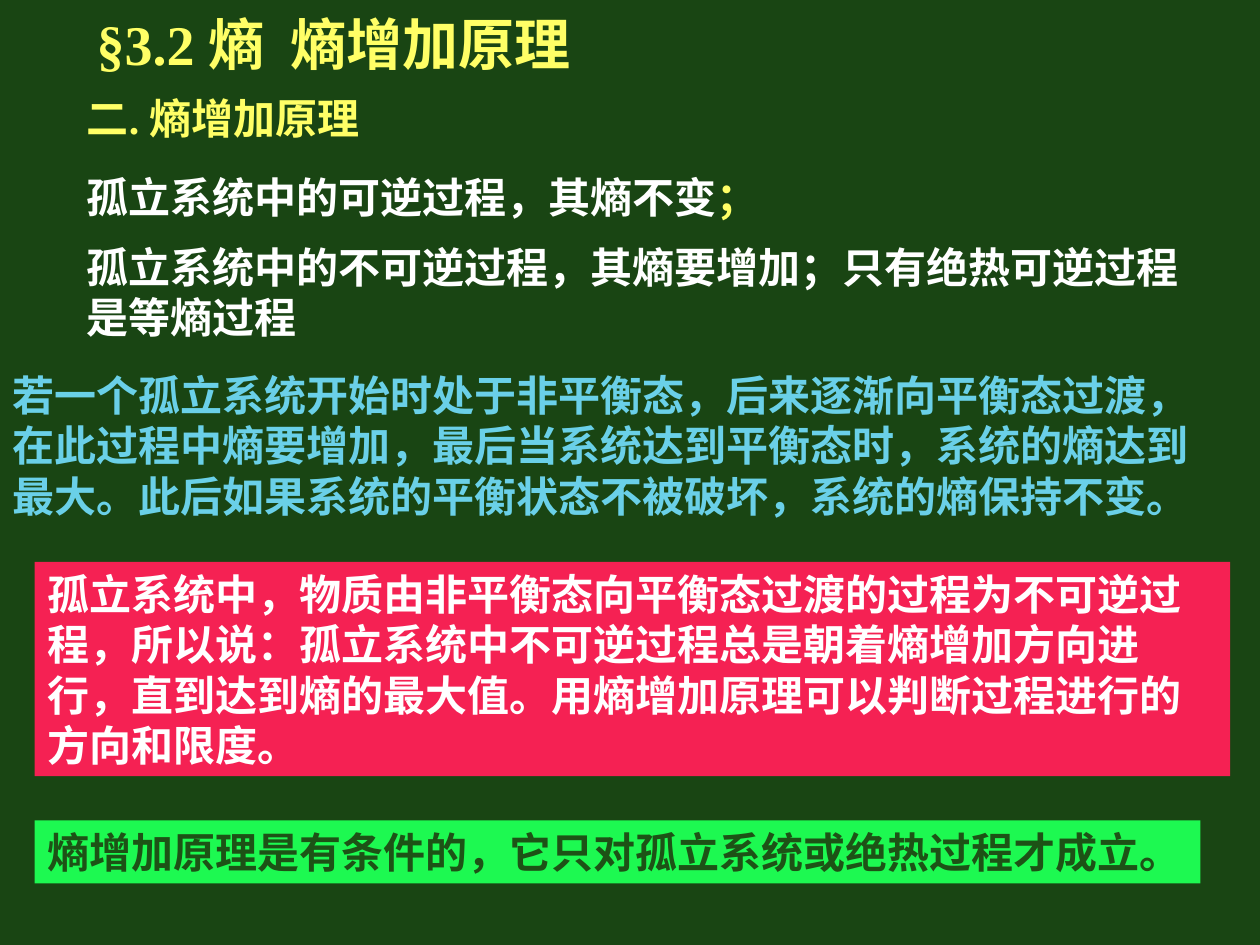
from pptx import Presentation
from pptx import util as u
from pptx.dml import color
from pptx.enum import lang, shapes, text

COLOURS = {
    "board": "194513",
    "heading": "FFFF66",
    "body": "FFFFFF",
    "example": "6AD0E8",
    "conclusion": "F52153",
    "condition": "1DF951",
    "condition_text": "1D5216",
}
FONT = {"name": "Times New Roman", "bold": True,
        "language_id": lang.MSO_LANGUAGE_ID.SIMPLIFIED_CHINESE}
FRAME = {
    "margin_left": u.Cm(0.25), "margin_right": u.Cm(0.25),
    "margin_top": u.Cm(0.13), "margin_bottom": u.Cm(0.13),
    "vertical_anchor": text.MSO_ANCHOR.TOP,
    "auto_size": text.MSO_AUTO_SIZE.SHAPE_TO_FIT_TEXT,
    "word_wrap": True,
}


def rgb(key):
    """Return the named colour."""
    return color.RGBColor.from_string(COLOURS[key])


def apply(target, values):
    """Set each attribute of target from a dict."""
    for attribute, value in values.items():
        setattr(target, attribute, value)


def write(frame, runs, size=24, **frame_values):
    """Fill a text frame with one paragraph of coloured runs."""
    apply(frame, {**FRAME, **frame_values})
    paragraph = frame.paragraphs[0]
    paragraph.alignment = text.PP_ALIGN.LEFT
    paragraph._p.get_or_add_pPr().set("hangingPunct", "0")
    for wording, key in runs:
        run = paragraph.add_run()
        run.text = wording
        apply(run.font, {**FONT, "size": u.Pt(size)})
        run.font.color.rgb = rgb(key)


def passage(slide, box, *runs, **values):
    """Place plain text in a box given in centimetres."""
    area = slide.shapes.add_textbox(*map(u.Cm, box))
    write(area.text_frame, runs, **values)


def panel(slide, box, fill, *runs):
    """Place text on a filled rectangle given in centimetres."""
    area = slide.shapes.add_shape(
        shapes.MSO_SHAPE.RECTANGLE, *map(u.Cm, box))
    area.shadow.inherit = False
    area.fill.solid()
    area.fill.fore_color.rgb = rgb(fill)
    area.line.fill.background()
    write(area.text_frame, runs)


def headings(slide, left, top):
    """Place the section title and the subsection heading."""
    passage(slide, (left + 0.2, top, 23.7, 1.73),
            ("§3.2 熵  熵增加原理", "heading"), size=32,
            vertical_anchor=text.MSO_ANCHOR.MIDDLE,
            auto_size=text.MSO_AUTO_SIZE.NONE)
    passage(slide, (left, top + 1.73, 7.2, 1.27),
            ("二. 熵增加原理", "heading"))


def principles(slide, left, top):
    """Place the statements on reversible and irreversible processes."""
    passage(slide, (left, top, 14.5, 1.27),
            ("孤立系统中的可逆过程，其熵不变", "body"), ("；", "heading"))
    passage(slide, (left, top + 1.4, 23.22, 2.29),
            ("孤立系统中的不可逆过程，其熵要增加；只有绝热可逆过程是等熵过程", "body"))


def example(slide, left, top):
    """Place the account of a system moving towards equilibrium."""
    passage(slide, (left, top, 24.33, 3.3),
            ("若一个孤立系统开始时处于非平衡态，后来逐渐向平衡态过渡，"
             "在此过程中熵要增加，最后当系统达到平衡态时，系统的熵达到最大。"
             "此后如果系统的平衡状态不被破坏，系统的熵保持不变。", "example"))


def conclusions(slide, left, top):
    """Place the conclusion and its condition on coloured panels."""
    panel(slide, (left, top, 24.1, 4.32), "conclusion",
          ("孤立系统中，物质由非平衡态向平衡态过渡的过程为不可逆过程，"
           "所以说：孤立系统中不可逆过程总是朝着熵增加方向进行，"
           "直到达到熵的最大值。用熵增加原理可以判断过程进行的方向和限度。", "body"))
    panel(slide, (left, top + 5.21, 23.5, 1.27), "condition",
          ("熵增加原理是有条件的，它只对孤立系统或绝热过程才成立。", "condition_text"))


def main():
    """Build the slide and save it."""
    deck = Presentation()
    apply(deck, {"slide_width": u.Cm(25.4), "slide_height": u.Cm(19.05)})
    slide = deck.slides.add_slide(deck.slide_layouts[6])
    slide.background.fill.solid()
    slide.background.fill.fore_color.rgb = rgb("board")
    headings(slide, 1.5, 0)
    principles(slide, 1.5, 3.33)
    example(slide, 0, 7.32)
    conclusions(slide, 0.7, 11.33)
    deck.save("out.pptx")


if __name__ == "__main__":
    main()
